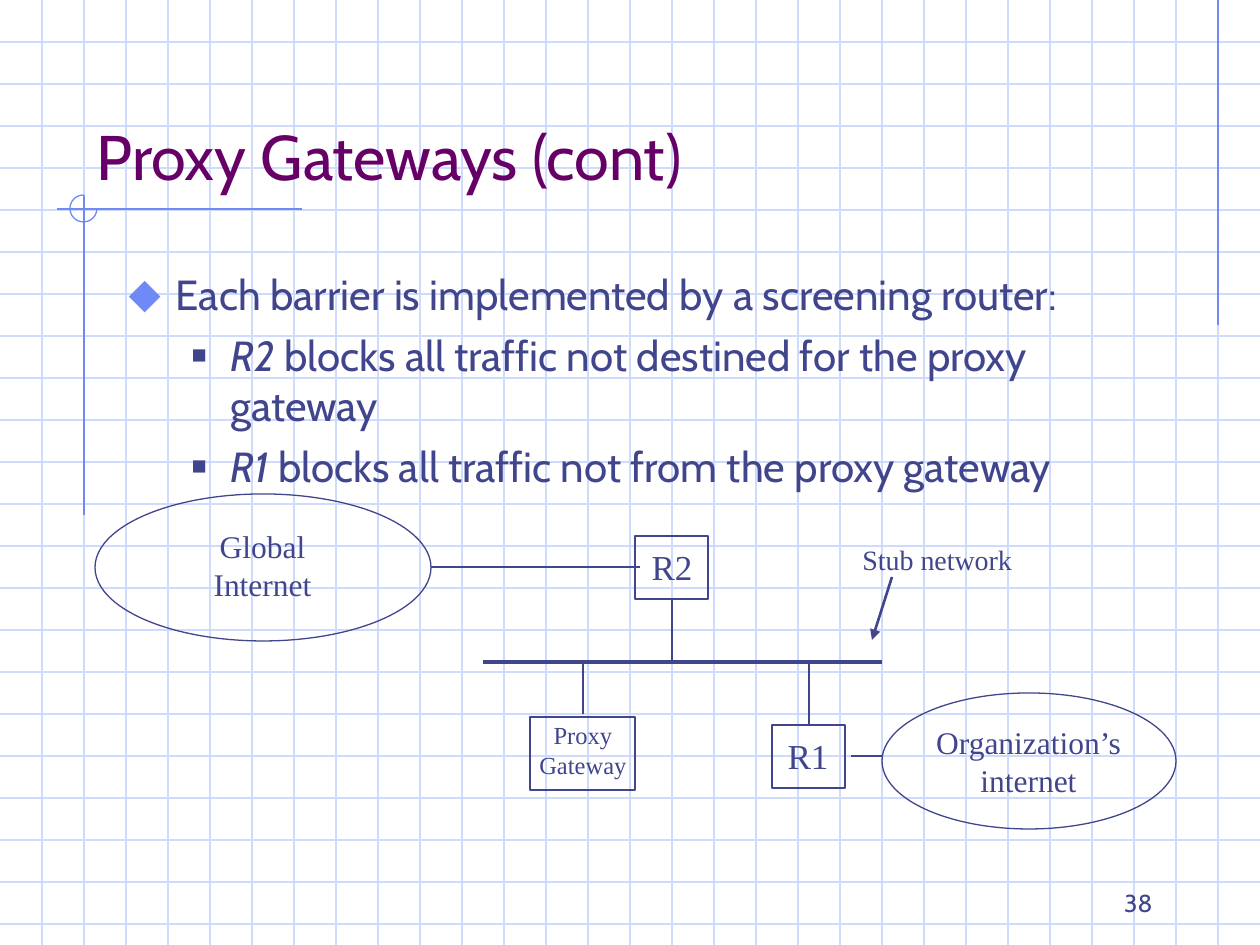
from dataclasses import dataclass

from lxml import etree
from pptx import Presentation
from pptx.dml.color import RGBColor
from pptx.enum.shapes import MSO_CONNECTOR, MSO_SHAPE
from pptx.enum.text import MSO_ANCHOR, MSO_AUTO_SIZE, PP_ALIGN
from pptx.oxml.ns import qn
from pptx.util import Emu, Pt

LINE = MSO_CONNECTOR.STRAIGHT
RECT, OVAL, ARC = MSO_SHAPE.RECTANGLE, MSO_SHAPE.OVAL, MSO_SHAPE.ARC
LEFT, MID, RIGHT = PP_ALIGN.LEFT, PP_ALIGN.CENTER, PP_ALIGN.RIGHT
TOP, BOTTOM = MSO_ANCHOR.TOP, MSO_ANCHOR.BOTTOM

INK = RGBColor(0x40, 0x45, 0x8C)
PLUM = RGBColor(0x66, 0x00, 0x66)
BLUE = RGBColor(0x6F, 0x89, 0xF7)
PALE = RGBColor(0xCF, 0xDB, 0xFD)
SANS, SERIF = "Cabin", "Times New Roman"
WIDE, HIGH, STEP = 1260, 945, 42


@dataclass
class Box:
    x: int
    y: int
    w: int
    h: int


@dataclass
class Wire:
    x1: int
    y1: int
    x2: int
    y2: int
    color: RGBColor = INK
    width: float = 0.75
    arrow: bool = False


@dataclass
class Label:
    text: str
    box: Box
    size: int
    font: str = SERIF
    align: PP_ALIGN = MID
    anchor: MSO_ANCHOR = TOP


@dataclass
class Bullet:
    lead: str
    text: str
    level: int
    left: int
    hang: int
    mark: str
    color: RGBColor
    scale: int


def px(n: int) -> Emu:
    return Emu(round(n * 914400 / 126))


def place(shape, box: Box) -> None:
    shape.left, shape.top = px(box.x), px(box.y)
    shape.width, shape.height = px(box.w), px(box.h)


def style(run, size: int, font: str, color: RGBColor) -> None:
    run.font.size, run.font.name = Pt(size), font
    run.font.color.rgb = color


def frame(shape, anchor: MSO_ANCHOR):
    body = shape.text_frame
    body.word_wrap = True
    body.auto_size = MSO_AUTO_SIZE.NONE
    body.vertical_anchor = anchor
    return body


def draw_wire(shapes, wire: Wire) -> None:
    line = shapes.add_connector(LINE, px(wire.x1), px(wire.y1),
                                px(wire.x2), px(wire.y2))
    line.line.color.rgb = wire.color
    line.line.width = Pt(wire.width)
    if wire.arrow:
        etree.SubElement(line.line._get_or_add_ln(), qn("a:tailEnd"), type="triangle")
    etree.SubElement(line._element.spPr, qn("a:effectLst"))


def draw_shape(shapes, kind: MSO_SHAPE, box: Box, color: RGBColor = INK):
    shape = shapes.add_shape(kind, px(box.x), px(box.y), px(box.w), px(box.h))
    shape.shadow.inherit = False
    shape.fill.background()
    shape.line.color.rgb = color
    shape.line.width = Pt(0.75)
    return shape


def draw_label(shapes, label: Label) -> None:
    box = label.box
    shape = shapes.add_textbox(px(box.x), px(box.y), px(box.w), px(box.h))
    para = frame(shape, label.anchor).paragraphs[0]
    para.text, para.alignment = label.text, label.align
    style(para.runs[0], label.size, label.font, INK)


def fill_bullet(para, item: Bullet, first: bool) -> None:
    para.level = item.level
    props = para._p.get_or_add_pPr()
    props.set("marL", str(px(item.left)))
    props.set("indent", str(px(-item.hang)))
    tint = etree.SubElement(props, qn("a:buClr"))
    etree.SubElement(tint, qn("a:srgbClr"), val=str(item.color))
    etree.SubElement(props, qn("a:buSzPct"), val=str(item.scale * 1000))
    etree.SubElement(props, qn("a:buChar"), char=item.mark)
    para.space_before = Pt(0 if first else 6)
    para.text = item.lead or item.text
    if item.lead:
        para.runs[0].font.italic = True
        para.add_run().text = item.text
    for run in para.runs:
        style(run, 24, SANS, INK)


GRID = [Wire(0, y, WIDE, y, PALE) for y in range(STEP, HIGH, STEP)]
GRID += [Wire(x, 0, x, HIGH, PALE) for x in range(STEP, WIDE, STEP)]
TRIM = [
    Wire(1218, 0, 1218, 325, BLUE),
    Wire(302, 209, 57, 209, BLUE),
    Wire(84, 195, 84, 515, BLUE),
]
BULLETS = [
    Bullet("", "Each barrier is implemented by a screening router:",
           0, 47, 47, "⬥", BLUE, 110),
    Bullet("R2", " blocks all traffic not destined for the proxy gateway",
           1, 102, 39, "■", INK, 60),
    Bullet("R1", " blocks all traffic not from the proxy gateway",
           1, 102, 39, "■", INK, 60),
]
NODES = [
    (RECT, Box(530, 717, 105, 73)),
    (RECT, Box(772, 725, 73, 63)),
    (RECT, Box(635, 536, 73, 63)),
    (OVAL, Box(95, 494, 336, 147)),
    (OVAL, Box(882, 693, 294, 136)),
]
WIRES = [
    Wire(431, 567, 640, 567),
    Wire(483, 662, 882, 662, width=2.25),
    Wire(672, 599, 672, 662),
    Wire(583, 714, 583, 662),
    Wire(809, 725, 809, 662),
    Wire(892, 577, 872, 640, width=1.5, arrow=True),
    Wire(851, 756, 882, 756),
]
LABELS = [
    Label("Proxy Gateway", Box(525, 714, 116, 72), 14),
    Label("R1", Box(766, 728, 84, 55), 20),
    Label("R2", Box(630, 539, 84, 55), 20),
    Label("Global Internet", Box(185, 521, 155, 88), 18),
    Label("Organization’s internet", Box(918, 717, 221, 88), 18),
    Label("Stub network", Box(850, 536, 199, 47), 16, align=LEFT),
    Label("38", Box(903, 861, 262, 63), 14, SANS, RIGHT, BOTTOM),
]


def main() -> None:
    deck = Presentation()
    deck.slide_width, deck.slide_height = px(WIDE), px(HIGH)
    slide = deck.slides.add_slide(deck.slide_layouts[1])
    shapes = slide.shapes
    title, body = shapes.title, slide.placeholders[1]

    # Backdrop grid and corner trim
    for wire in GRID + TRIM:
        draw_wire(shapes, wire)
    ring = draw_shape(shapes, ARC, Box(70, 195, 27, 27), BLUE)
    ring.adjustments[0], ring.adjustments[1] = 0, 162

    # Title and list, raised above the grid
    for item in (title, body):
        shapes._spTree.append(item._element)
    place(title, Box(84, 42, 1071, 157))
    para = frame(title, BOTTOM).paragraphs[0]
    para.text, para.alignment = "Proxy Gateways (cont)", LEFT
    style(para.runs[0], 36, SANS, PLUM)

    place(body, Box(116, 262, 1071, 567))
    text = frame(body, TOP)
    for i, item in enumerate(BULLETS):
        para = text.add_paragraph() if i else text.paragraphs[0]
        fill_bullet(para, item, i == 0)

    # Network diagram and page number
    for kind, box in NODES:
        draw_shape(shapes, kind, box)
    for wire in WIRES:
        draw_wire(shapes, wire)
    for label in LABELS:
        draw_label(shapes, label)

    deck.save("out.pptx")


if __name__ == "__main__":
    main()
